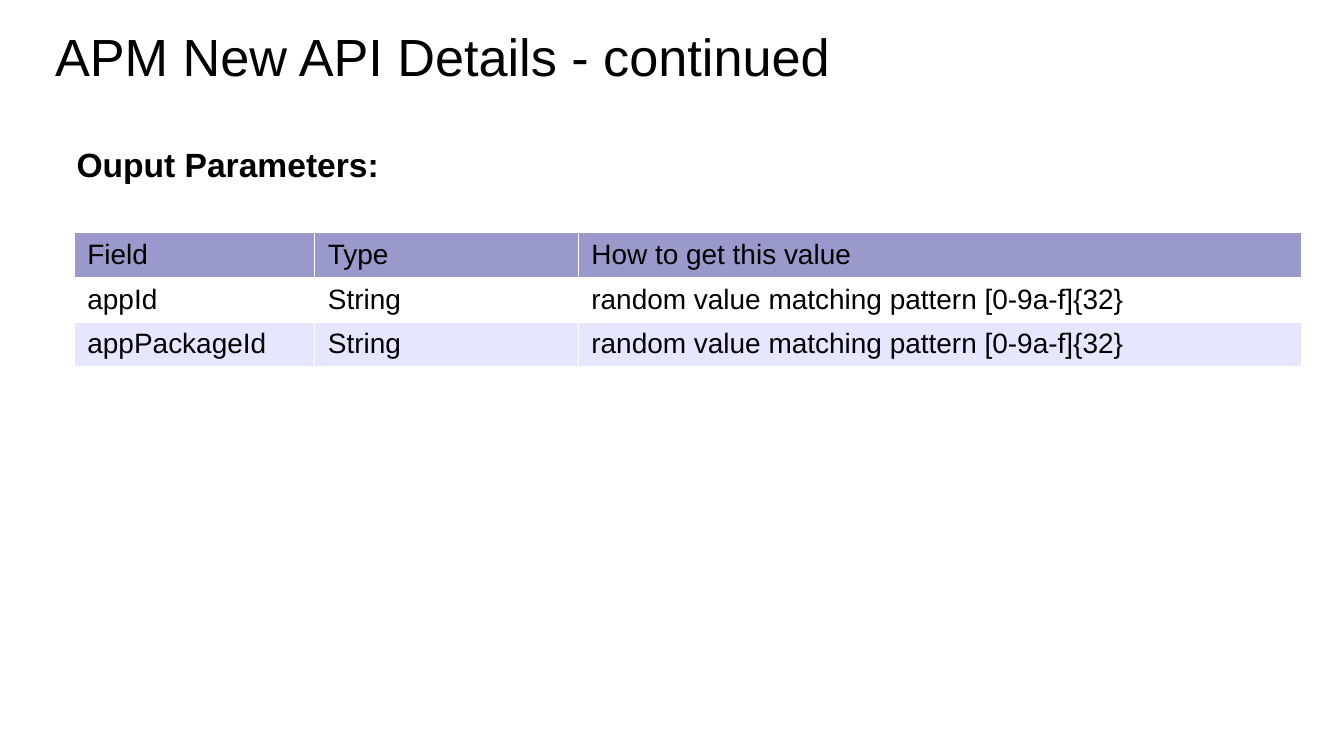
import pptx
import pptx.util
import pptx.dml.color
import pptx.enum.text
import pptx.oxml
import pptx.oxml.ns

Inches = pptx.util.Inches
Pt = pptx.util.Pt

TITLE = "APM New API Details - continued"
HEADING = "Ouput Parameters:"
PATTERN = "random value matching pattern [0-9a-f]{32}"
ROWS = [
    ("Field", "Type", "How to get this value"),
    ("appId", "String", PATTERN),
    ("appPackageId", "String", PATTERN),
]
ROW_FILLS = ["9999CC", "FFFFFF", "E6E6FF"]
COL_WIDTHS = [1.79, 1.96, 5.38]
ROW_HEIGHT = 0.33


def rgb(value):
    return pptx.dml.color.RGBColor.from_string(value)


def put_text(tf, text, size, bold=False, color="000000"):
    p = tf.paragraphs[0]
    p.alignment = pptx.enum.text.PP_ALIGN.LEFT
    p.line_spacing = 1.0
    p.space_before = Pt(0)
    r = p.add_run()
    r.text = text
    r.font.name = "Arial"
    r.font.size = Pt(size)
    r.font.bold = bold
    r.font.color.rgb = rgb(color)
    return p


def place(sp, box, top, bottom):
    sp.left, sp.top, sp.width, sp.height = map(Inches, box)
    tf = sp.text_frame
    tf.word_wrap = True
    tf.auto_size = pptx.enum.text.MSO_AUTO_SIZE.NONE
    tf.vertical_anchor = pptx.enum.text.MSO_ANCHOR.TOP
    tf.margin_left = tf.margin_right = Inches(0.1)
    tf.margin_top, tf.margin_bottom = Inches(top), Inches(bottom)
    return tf


def border_cell(cell, color, width):
    pr = cell._tc.get_or_add_tcPr()
    for i, side in enumerate(("lnL", "lnR", "lnT", "lnB")):
        ln = pptx.oxml.parse_xml(
            f'<a:{side} {pptx.oxml.ns.nsdecls("a")} w="{Pt(width)}">'
            f'<a:solidFill><a:srgbClr val="{color}"/></a:solidFill></a:{side}>'
        )
        pr.insert(i, ln)


prs = pptx.Presentation()
prs.slide_width = Inches(10)
prs.slide_height = prs.slide_width * 9 // 16
s = prs.slides.add_slide(prs.slide_layouts[1])

tf = place(s.shapes.title, (0.31, 0.08, 9.32, 0.62), 0.1, 0.1)
put_text(tf, TITLE, 28)

tf = place(s.placeholders[1], (0.47, 0.72, 8.66, 1.22), 0.35, 0.05)
pPr = put_text(tf, HEADING, 18, bold=True)._p.get_or_add_pPr()
pPr.set("marL", "0")
pPr.set("indent", "0")
pPr.append(pptx.oxml.parse_xml(f'<a:buNone {pptx.oxml.ns.nsdecls("a")}/>'))

table = s.shapes.add_table(
    len(ROWS), len(COL_WIDTHS), Inches(0.55), Inches(1.73),
    Inches(sum(COL_WIDTHS)), Inches(ROW_HEIGHT * len(ROWS)),
).table
for col, width in zip(table.columns, COL_WIDTHS):
    col.width = Inches(width)
for row, texts, fill in zip(table.rows, ROWS, ROW_FILLS):
    row.height = Inches(ROW_HEIGHT)
    for cell, text in zip(row.cells, texts):
        cell.margin_left = cell.margin_right = Inches(0.1)
        cell.margin_top = cell.margin_bottom = Inches(0.05)
        cell.fill.solid()
        cell.fill.fore_color.rgb = rgb(fill)
        border_cell(cell, "FFFFFF", 0.06)
        put_text(cell.text_frame, text, 15)

prs.save("out.pptx")
